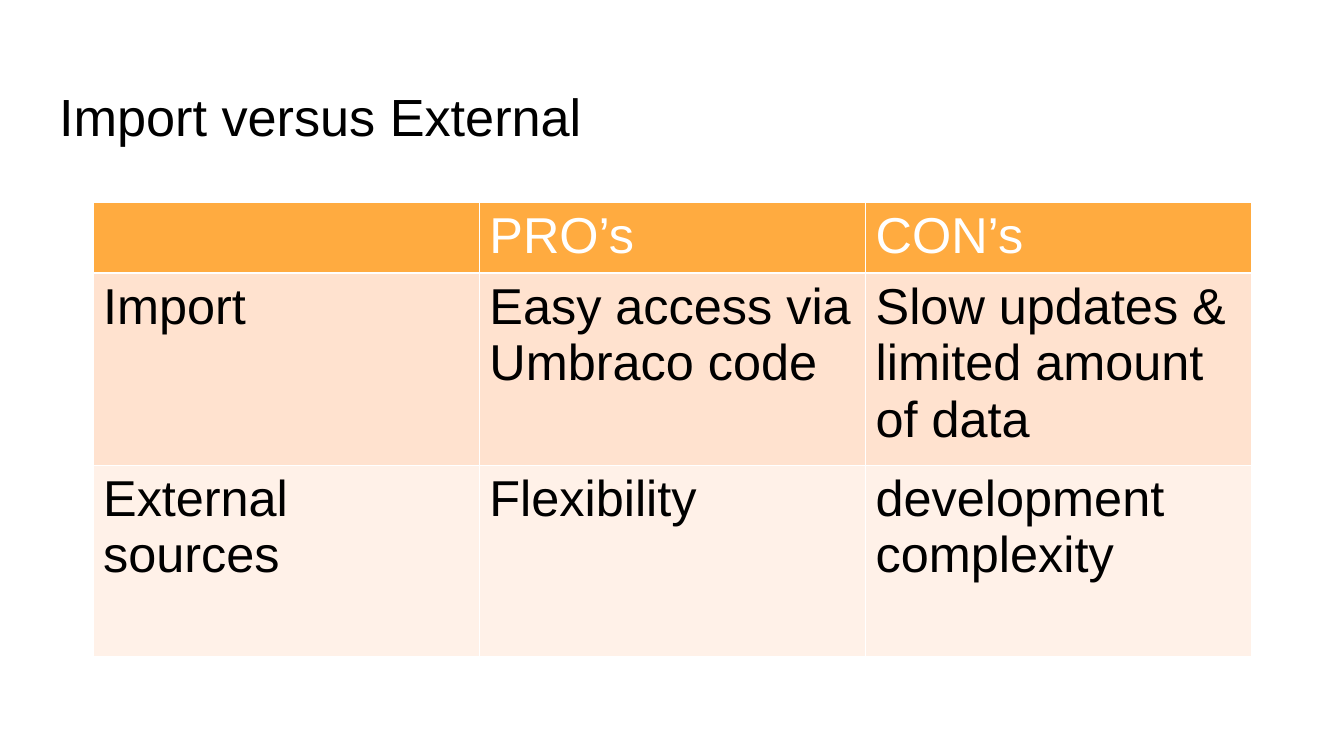
from pptx import Presentation
from pptx.dml.color import RGBColor
from pptx.enum.text import MSO_ANCHOR
from pptx.oxml import parse_xml
from pptx.oxml.ns import nsdecls
from pptx.util import Cm, Pt

COLORS = {
    "text": "000000",
    "header_text": "FFFFFF",
    "border": "FFFFFF",
    "header": "FFAB40",
    "odd_row": "FFE2CF",
    "even_row": "FFF1E8",
}
ROWS = [
    ("header", "header_text", 1.33, ["", "PRO’s", "CON’s"]),
    ("odd_row", "text", 3.62,
     ["Import", "Easy access via Umbraco code", "Slow updates & limited amount of data"]),
    ("even_row", "text", 3.62, ["External sources", "Flexibility", "development complexity"]),
]
COLUMN_WIDTH = 7.3


def style_paragraph(paragraph, size, color):
    paragraph.font.name = "Arial"
    paragraph.font.size = Pt(size)
    paragraph.font.color.rgb = RGBColor.from_string(COLORS[color])


def add_borders(cell):
    """Draw a 1 pt line on each side; must run before the cell is filled."""
    properties = cell._tc.get_or_add_tcPr()
    for side in "LRTB":
        properties.append(parse_xml(
            f'<a:ln{side} {nsdecls("a")} w="{Pt(1)}"><a:solidFill>'
            f'<a:srgbClr val="{COLORS["border"]}"/></a:solidFill></a:ln{side}>'))


presentation = Presentation()
presentation.slide_width = Cm(25.4)
presentation.slide_height = Cm(14.29)
slide = presentation.slides.add_slide(presentation.slide_layouts[6])

# Title
title = slide.shapes.add_textbox(Cm(0.87), Cm(1.24), Cm(23.67), Cm(1.6))
frame = title.text_frame
frame.word_wrap = True
frame.vertical_anchor = MSO_ANCHOR.TOP
frame.margin_left = frame.margin_right = Cm(0.25)
frame.margin_top = Cm(0.36)
frame.margin_bottom = Cm(0)
frame.text = "Import versus External"
style_paragraph(frame.paragraphs[0], 28, "text")

# Comparison table
table_height = sum(height for _, _, height, _ in ROWS)
table = slide.shapes.add_table(
    len(ROWS), 3, Cm(1.76), Cm(3.82), Cm(3 * COLUMN_WIDTH), Cm(table_height)).table
for column in table.columns:
    column.width = Cm(COLUMN_WIDTH)
for row, (fill, text_color, height, texts) in zip(table.rows, ROWS):
    row.height = Cm(height)
    for cell, text in zip(row.cells, texts):
        add_borders(cell)
        cell.fill.solid()
        cell.fill.fore_color.rgb = RGBColor.from_string(COLORS[fill])
        cell.margin_left = cell.margin_right = Cm(0.19)
        cell.margin_top = cell.margin_bottom = Cm(0.1)
        cell.text = text
        paragraph = cell.text_frame.paragraphs[0]
        style_paragraph(paragraph, 27, text_color)
        paragraph.font.bold = False

presentation.save("out.pptx")
